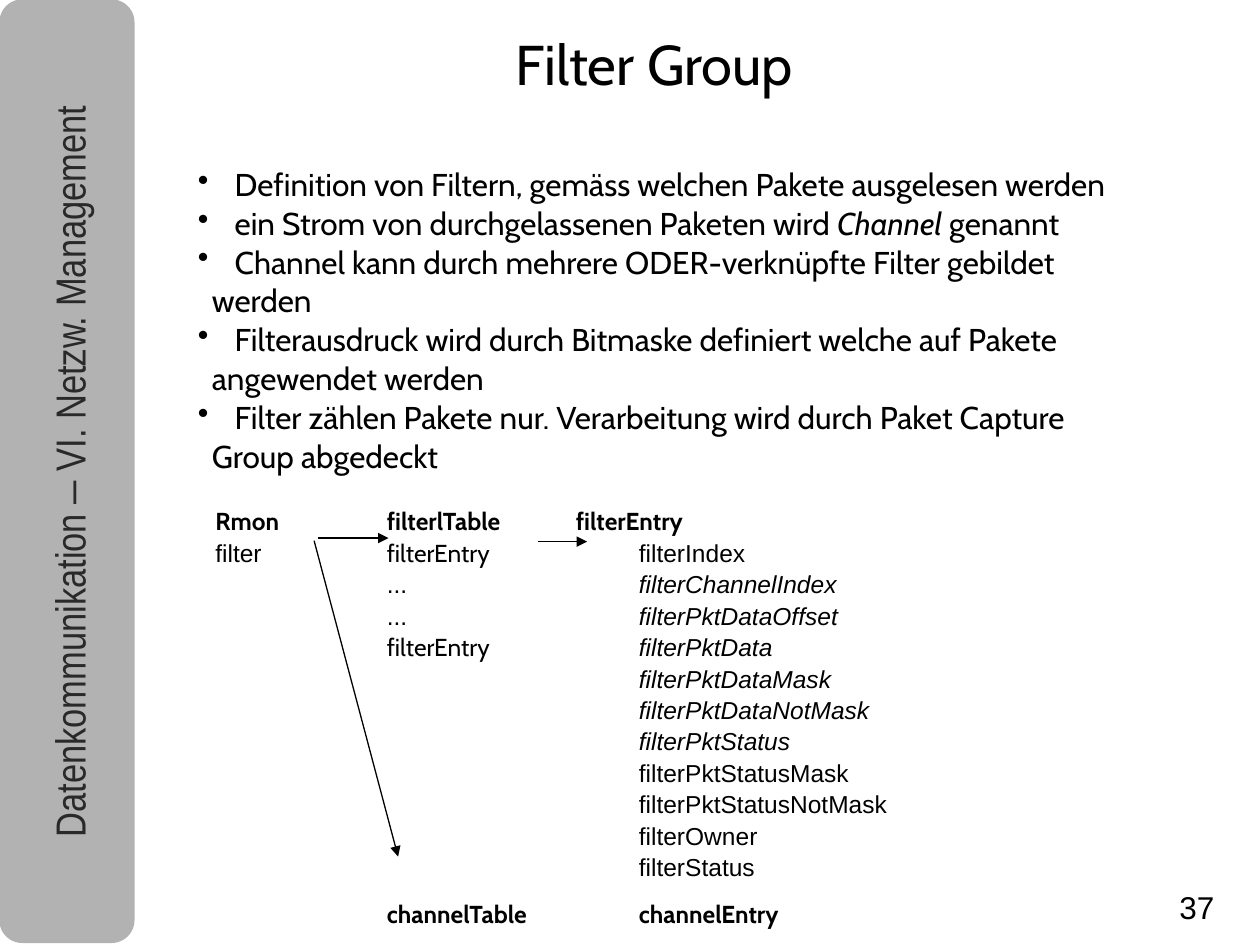
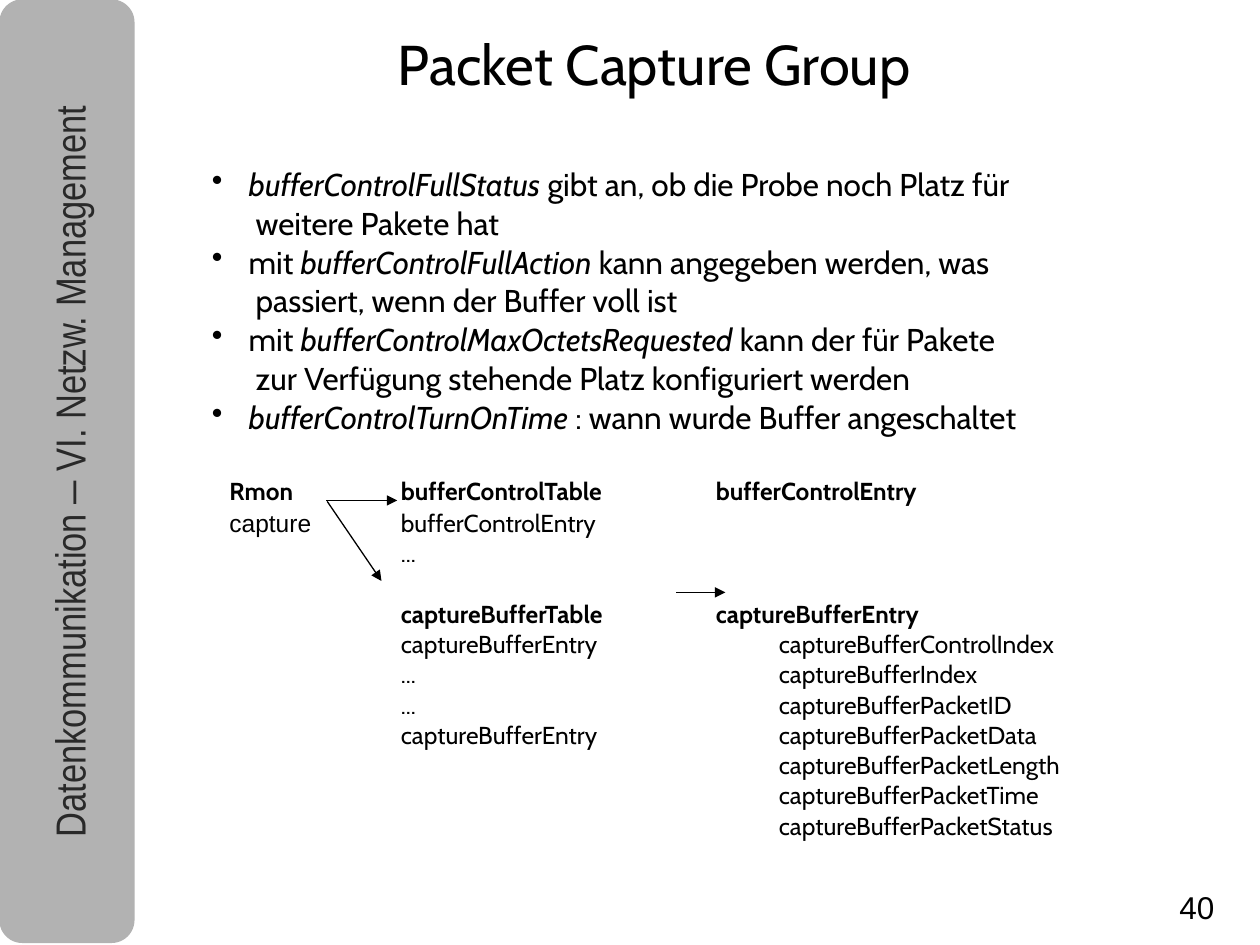
from lxml.etree import SubElement as Sub
from pptx import Presentation
from pptx.dml.color import RGBColor as Rgb
from pptx.enum.shapes import MSO_CONNECTOR as Link, MSO_SHAPE as Form
from pptx.enum.text import MSO_ANCHOR as Anchor, PP_ALIGN as Align
from pptx.oxml.ns import qn
from pptx.util import Pt

INK = {"band": "B2B2B2", "label": "292929", "text": "000000"}
CABIN, ARIAL, NARROW = "Cabin", "Arial", "Arial Narrow"
MID = 374  # centre line of the titles
HANG = 21  # from bullet to text


def add_box(slide, x, y, w, h, wrap=True, pad=True):
    box = slide.shapes.add_textbox(Pt(x), Pt(y), Pt(w), Pt(h))
    frame = box.text_frame
    frame.word_wrap = wrap
    if not pad:
        frame.margin_left = frame.margin_right = 0
        frame.margin_top = frame.margin_bottom = 0
    return box


def set_font(para, face, size, ink="text", bold=None):
    font = para.font
    font.name, font.size, font.bold = face, Pt(size), bold
    font.color.rgb = Rgb.from_string(INK[ink])


def add_runs(para, text, face=None):
    """Add text; parts between asterisks are italic, face overrides the font."""
    for num, part in enumerate(text.split("*")):
        if part:
            run = para.add_run()
            run.text = part
            if num % 2:
                run.font.italic = True
            if face:
                run.font.name = face


def next_para(frame):
    first = frame.paragraphs[0]
    return frame.add_paragraph() if first.runs else first


def add_point(frame, lines, inset):
    """Add a bullet line, then its further lines at the given inset."""
    for num, line in enumerate(lines):
        para = next_para(frame)
        props = para._p.get_or_add_pPr()
        props.set("marL", str(Pt(inset if num else HANG)))
        props.set("indent", str(0 if num else Pt(-HANG)))
        if not num:
            Sub(props, qn("a:buChar"), char="•")
        para.line_spacing = 1.03 if para is not frame.paragraphs[0] else 1.0
        set_font(para, CABIN, 18)
        add_runs(para, line)


def add_row(frame, cells, stops, face=CABIN, other=(), bold=None, gap=0, lead=1.03):
    """Add cells on tab stops; cells named in other use the second font."""
    para = next_para(frame)
    tabs = Sub(para._p.get_or_add_pPr(), qn("a:tabLst"))
    for stop in stops:
        Sub(tabs, qn("a:tab"), pos=str(Pt(stop)), algn="l")
    para.line_spacing = lead
    para.space_before = Pt(gap)
    set_font(para, face, 14, bold=bold)
    swap = ARIAL if face == CABIN else CABIN
    for cell in cells:
        add_runs(para, "\t" + cell if "*" not in cell else "\t")
        if "*" in cell:
            add_runs(para, cell)
        elif cell in other:
            para.runs[-1].font.name = swap


def add_arrow(slide, x1, y1, x2, y2):
    line = slide.shapes.add_connector(Link.STRAIGHT, Pt(x1), Pt(y1), Pt(x2), Pt(y2))
    line.line.color.rgb = Rgb.from_string(INK["text"])
    line.line.width = Pt(0.75)
    Sub(line.line._get_or_add_ln(), qn("a:tailEnd"), type="triangle")
    Sub(line._element.spPr, qn("a:effectLst"))


def add_band(slide):
    band = slide.shapes.add_shape(Form.ROUNDED_RECTANGLE, 0, 0, Pt(76.5), Pt(538.5))
    band.shadow.inherit = False
    band.fill.solid()
    band.fill.fore_color.rgb = band.line.color.rgb = Rgb.from_string(INK["band"])
    band.line.width = Pt(0.75)
    label = add_box(slide, -211, 234, 538.5, 71)
    label.rotation = 270
    para = label.text_frame.paragraphs[0]
    para.alignment = Align.CENTER
    para.line_spacing, para.space_before = 0.98, Pt(13)
    set_font(para, NARROW, 24, "label")
    add_runs(para, "Datenkommunikation ")
    add_runs(para, "–", ARIAL)
    add_runs(para, " VI. Netzw. Management")


def add_page(deck, title, width, number):
    slide = deck.slides.add_slide(deck.slide_layouts[6])
    add_band(slide)
    head = add_box(slide, MID - width / 2, 13.5, width, 45.5, wrap=False).text_frame
    head.vertical_anchor = Anchor.MIDDLE
    foot = add_box(slide, 674, 507.5, 36, 24, wrap=False, pad=False).text_frame
    for frame, text, face, size in ((head, title, CABIN, 32), (foot, number, ARIAL, 18)):
        para = frame.paragraphs[0]
        set_font(para, face, size)
        add_runs(para, text)
    head.paragraphs[0].alignment = Align.CENTER
    return slide


def add_filter(deck):
    slide = add_page(deck, "Filter Group", 183, "37")
    body = add_box(slide, 106, 90, 614, 450).text_frame
    for lines in (
        ["Definition von Filtern, gemäss welchen Pakete ausgelesen werden"],
        ["ein Strom von durchgelassenen Paketen wird *Channel* genannt"],
        ["Channel kann durch mehrere ODER-verknüpfte Filter gebildet", "werden"],
        ["Filterausdruck wird durch Bitmaske definiert welche auf Pakete",
         "angewendet werden"],
        ["Filter zählen Pakete nur. Verarbeitung wird durch Paket Capture",
         "Group abgedeckt"],
    ):
        add_point(body, lines, 8)
    stops = (10, 108, 216, 252)
    add_row(body, ["Rmon", "filterlTable", "filterEntry"], stops, bold=True, gap=17.5)
    left = [("filter", "filterEntry"), ("", "..."), ("", "..."), ("", "filterEntry")]
    fields = ("filterIndex", "*filterChannelIndex*", "*filterPktDataOffset*",
              "*filterPktData*", "*filterPktDataMask*", "*filterPktDataNotMask*",
              "*filterPktStatus*", "filterPktStatusMask", "filterPktStatusNotMask",
              "filterOwner", "filterStatus")
    for num, field in enumerate(fields):
        pair = left[num] if num < len(left) else ("", "")
        add_row(body, [*pair, "", field], stops, ARIAL, ["filterEntry"], lead=1.07)
    add_row(body, ["", "channelTable", "", "channelEntry"], stops,
            bold=True, gap=9, lead=1.07)
    for ends in ((181.5, 307.5, 222, 307.5), (307.5, 309.5, 335.5, 309.5),
                 (179.5, 309, 227.5, 489.5)):
        add_arrow(slide, *ends)


def add_capture(deck):
    slide = add_page(deck, "Packet Capture Group", 332, "40")
    body = add_box(slide, 114, 90, 606, 444).text_frame
    for lines in (
        ["*bufferControlFullStatus* gibt an, ob die Probe noch Platz für",
         "weitere Pakete hat"],
        ["mit *bufferControlFullAction* kann angegeben werden, was",
         "passiert, wenn der Buffer voll ist"],
        ["mit *bufferControlMaxOctetsRequested* kann der für Pakete",
         "zur Verfügung stehende Platz konfiguriert werden"],
        ["*bufferControlTurnOnTime* : wann wurde Buffer angeschaltet"],
    ):
        add_point(body, lines, 25)
    stops = (10, 108, 288, 324)
    add_row(body, ["Rmon", "bufferControlTable", "bufferControlEntry"], stops,
            bold=True, gap=22.5)
    add_row(body, ["capture", "bufferControlEntry"], stops, other=["capture"], lead=1.07)
    add_row(body, ["", "..."], stops)
    add_row(body, ["", "captureBufferTable", "captureBufferEntry"], stops,
            bold=True, gap=17.5)
    entry = "captureBufferEntry"
    left = (entry, "...", "...", entry, "", "", "")
    fields = ("ControlIndex", "Index", "PacketID", "PacketData", "PacketLength",
              "PacketTime", "PacketStatus")
    for name, field in zip(left, fields):
        add_row(body, ["", name, "", "captureBuffer" + field], stops)
    for ends in ((186.5, 286, 227, 286), (187, 286.5, 218, 332),
                 (386.5, 338.5, 414.5, 338.5)):
        add_arrow(slide, *ends)


def main():
    deck = Presentation()
    deck.slide_width, deck.slide_height = Pt(720), Pt(540)
    add_filter(deck)
    add_capture(deck)
    deck.save("out.pptx")


if __name__ == "__main__":
    main()
